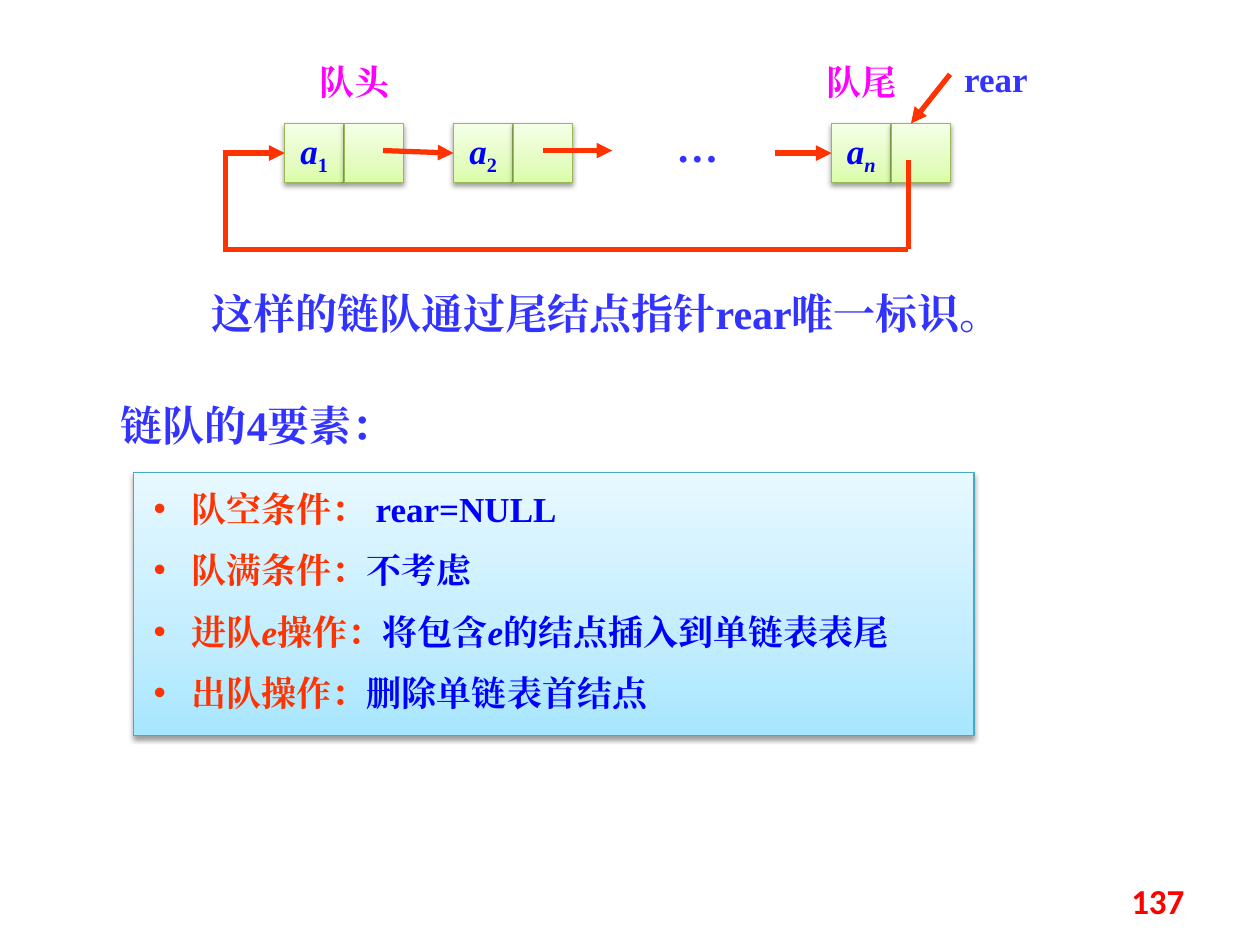
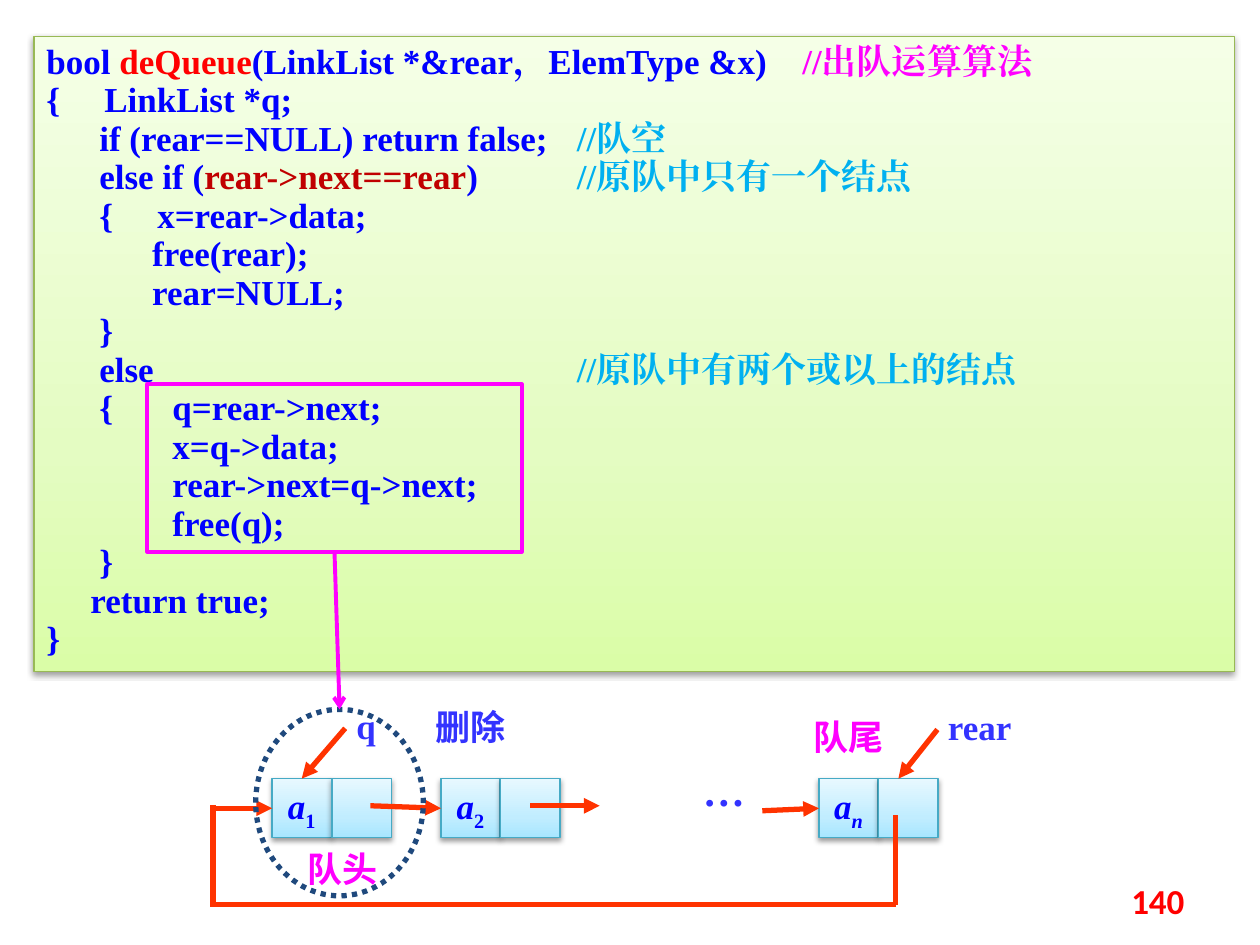
"""Build two slides on a circular linked queue that keeps only a rear pointer."""
import copy
from dataclasses import dataclass
from typing import Any

import lxml.etree
import pptx
import pptx.dml.color
import pptx.enum.dml
import pptx.enum.shapes
import pptx.enum.text
import pptx.oxml.ns
import pptx.util

Inches = pptx.util.Inches
Pt = pptx.util.Pt
qn = pptx.oxml.ns.qn
ALIGN = pptx.enum.text.PP_ALIGN
ANCHOR = pptx.enum.text.MSO_ANCHOR
SHAPE = pptx.enum.shapes.MSO_SHAPE

HUES = {
    "blue": "0000FF", "indigo": "3333FF", "pink": "FF00FF", "orange": "FF3300",
    "red": "FF0000", "dark": "C00000", "sky": "00B0F0", "navy": "1F497D",
    "black": "000000",
}
FADES = {
    "green": ("DAFDA7", "E4FCC2", "F5FFE7", "98B955"),
    "aqua": ("A7E6FF", "C1EDFF", "E7F8FF", "46AAC5"),
}
SERIF, SANS = "Times New Roman", "Noto Sans CJK SC"
CELL = 0.47
STEP = 0.475


@dataclass(frozen=True)
class Word:
    text: str
    tint: str = "blue"
    size: int = 20
    font: str = SERIF
    italic: bool = False
    sub: bool = False


@dataclass(frozen=True)
class Label:
    left: float
    top: float
    width: float
    height: float
    word: Word
    align: Any = ALIGN.CENTER
    anchor: Any = ANCHOR.TOP


@dataclass(frozen=True)
class Line:
    start: tuple[float, float]
    end: tuple[float, float]
    head: str = ""
    tint: str = "orange"
    width: float = 3


@dataclass(frozen=True)
class Row:
    stops: tuple[float, ...]
    words: tuple[Word, ...]


def paint(hue: str) -> pptx.dml.color.RGBColor:
    """Turn a hex string into a colour."""
    return pptx.dml.color.RGBColor.from_string(hue)


def put(target: Any, values: dict[str, Any]) -> None:
    """Set each named attribute on the target."""
    for key, value in values.items():
        setattr(target, key, value)


def place(shape: Any, box: tuple[float, ...]) -> None:
    """Move and size a shape in inches."""
    put(shape, dict(zip(("left", "top", "width", "height"), map(Inches, box))))


def write(para: Any, words: tuple[Word, ...]) -> None:
    """Add formatted runs to a paragraph."""
    for word in words:
        run = para.add_run()
        run.text = word.text
        put(run.font, {"name": word.font, "size": Pt(word.size), "bold": True,
                       "italic": word.italic})
        run.font.color.rgb = paint(HUES[word.tint])
        props = run._r.get_or_add_rPr()
        lxml.etree.SubElement(props, qn("a:ea"), typeface=word.font)
        if word.sub:
            props.set("baseline", "-25000")


def shade(shape: Any, name: str) -> None:
    """Give a shape the fade, edge and soft shadow of a theme."""
    *tones, edge = FADES[name]
    shape.fill.gradient()
    shape.fill.gradient_angle = 90
    stops = shape._element.spPr.find(qn("a:gradFill")).find(qn("a:gsLst"))
    stops.insert(1, copy.deepcopy(stops[0]))
    for stop, tone, spot in zip(shape.fill.gradient_stops, tones, (0, 0.35, 1)):
        stop.color.rgb = paint(tone)
        stop.position = spot
    shape.line.color.rgb = paint(edge)
    shape.line.width = Pt(0.75)
    shape.shadow.inherit = False
    glow = lxml.etree.SubElement(
        shape._element.spPr.find(qn("a:effectLst")), qn("a:outerShdw"),
        blurRad=str(Pt(3.1)), dist=str(Pt(1.6)), dir="5400000", rotWithShape="0")
    hue = lxml.etree.SubElement(glow, qn("a:srgbClr"), val=HUES["black"])
    lxml.etree.SubElement(hue, qn("a:alpha"), val="38000")


def add_box(slide: Any, box: tuple[float, ...], fade: str) -> Any:
    """Add a shaded rectangle."""
    shape = slide.shapes.add_shape(SHAPE.RECTANGLE, *map(Inches, box))
    shade(shape, fade)
    return shape


def add_ring(slide: Any, kind: Any, box: tuple[float, ...], tint: str, width: float) -> Any:
    """Add an unfilled outline shape."""
    shape = slide.shapes.add_shape(kind, *map(Inches, box))
    shape.fill.background()
    shape.line.color.rgb = paint(HUES[tint])
    shape.line.width = Pt(width)
    shape.shadow.inherit = False
    return shape


def add_label(slide: Any, label: Label) -> None:
    """Add a one-line text box."""
    box = (label.left, label.top, label.width, label.height)
    frame = slide.shapes.add_textbox(*map(Inches, box)).text_frame
    put(frame, {"word_wrap": True, "vertical_anchor": label.anchor})
    frame.paragraphs[0].alignment = label.align
    write(frame.paragraphs[0], (label.word,))


def add_line(slide: Any, line: Line) -> Any:
    """Add a straight line with an optional arrowhead."""
    link = slide.shapes.add_connector(
        pptx.enum.shapes.MSO_CONNECTOR.STRAIGHT, *map(Inches, line.start + line.end))
    link.line.color.rgb = paint(HUES[line.tint])
    link.line.width = Pt(line.width)
    props = link._element.spPr
    if line.head:
        lxml.etree.SubElement(props.find(qn("a:ln")), qn("a:tailEnd"), type=line.head)
    lxml.etree.SubElement(props, qn("a:effectLst"))
    return link


def add_node(slide: Any, left: float, top: float, fade: str, mark: Word) -> Any:
    """Add a data cell and a link cell, and return the data cell."""
    data = add_box(slide, (left, top, CELL, CELL), fade)
    add_box(slide, (left + STEP, top, CELL, CELL), fade)
    put(data.text_frame, {"word_wrap": False, "vertical_anchor": ANCHOR.MIDDLE})
    data.text_frame.paragraphs[0].alignment = ALIGN.CENTER
    write(data.text_frame.paragraphs[0], (Word("a", italic=True), mark))
    return data


def add_queue(slide: Any, left: float, top: float, fade: str,
              dots: tuple[float, float], drop: float, font: str) -> Any:
    """Draw the ring of nodes and return the first data cell."""
    marks = (Word("1", sub=True), Word("2", sub=True), Word("n", italic=True, sub=True))
    first, second, last = [
        add_node(slide, left + gap, top, fade, mark)
        for gap, mark in zip((0, 1.34, 4.34), marks)]
    mid = top + CELL / 2
    low = top + 1
    joins = (((-0.47, mid), 0, first), ((0.78, mid - 0.02), 1.34, second),
             ((3.89, mid + drop), 4.34, last))
    for (gap, high), goal, cell in joins:
        link = add_line(slide, Line((left + gap, high), (left + goal, mid), "triangle"))
        link.end_connect(cell, 1)
    lines = (
        Line((left + 2.05, mid - 0.02), (left + 2.6, mid - 0.02), "triangle"),
        Line((left + 4.95, top + 0.29), (left + 4.95, low)),
        Line((left - 0.49, low), (left + 4.95, low)),
        Line((left - 0.47, top + 0.21), (left - 0.47, low + 0.01)),
        Line((left + 5.28, top - 0.39), (left + 4.97, top), "triangle"),
    )
    for line in lines:
        add_line(slide, line)
    add_label(slide, Label(*dots, 0.87, 0.5, Word("…", "indigo", 24)))
    add_label(slide, Label(left + 4.1, top - 0.55, 0.95, 0.43, Word("队尾", "pink", font=font)))
    return first


def add_page(slide: Any, number: str) -> None:
    """Add the page number in the lower right corner."""
    add_label(slide, Label(7.17, 6.95, 2.33, 0.4, Word(number, "red", font="Calibri"),
                           ALIGN.RIGHT, ANCHOR.MIDDLE))


def add_facts(slide: Any) -> None:
    """Fill the title and body with the four key facts."""
    title, body = slide.placeholders
    place(title, (0.86, 3.12, 2.85, 0.5))
    put(title.text_frame, {"vertical_anchor": ANCHOR.TOP, "word_wrap": True,
                           "auto_size": pptx.enum.text.MSO_AUTO_SIZE.NONE})
    title.text_frame.paragraphs[0].alignment = ALIGN.LEFT
    write(title.text_frame.paragraphs[0], (Word("链队的4要素：", "indigo", 24),))
    place(body, (1.06, 3.75, 6.67, 2.09))
    shade(body, "aqua")
    frame = body.text_frame
    put(frame, {"margin_left": Inches(0.16), "margin_right": Inches(0.16),
                "margin_top": Inches(0.12), "margin_bottom": Inches(0.12),
                "auto_size": pptx.enum.text.MSO_AUTO_SIZE.NONE})
    facts = (
        (Word("队空条件： ", "orange"), Word("rear=NULL")),
        (Word("队满条件：", "orange"), Word("不考虑")),
        (Word("进队", "orange"), Word("e", "orange", italic=True), Word("操作：", "orange"),
         Word("将包含"), Word("e", italic=True), Word("的结点插入到单链表表尾")),
        (Word("出队操作：", "orange"), Word("删除单链表首结点")),
    )
    for turn, fact in enumerate(facts):
        para = frame.add_paragraph() if turn else frame.paragraphs[0]
        para.space_before = Pt(11 if turn else 0)
        props = para._p.get_or_add_pPr()
        props.set("marL", str(Inches(0.3)))
        props.set("indent", str(-Inches(0.3)))
        lxml.etree.SubElement(props, qn("a:buChar"), char="•")
        write(para, fact)


def add_code(slide: Any) -> None:
    """Add the shaded panel with the dequeue function."""
    frame = add_box(slide, (0.27, 0.29, 9.53, 5.04), "green").text_frame
    put(frame, {"word_wrap": True, "vertical_anchor": ANCHOR.TOP})
    note = 4.21
    rows = (
        Row((6.0,), (Word("bool "), Word("deQueue", "red"),
                     Word("(LinkList *&rear，ElemType &x)\t"), Word("//出队运算算法", "pink"))),
        Row((0.46,), (Word("{\tLinkList *q;"),)),
        Row((0.42, note), (Word("\tif (rear==NULL) return false;\t"), Word("//队空", "sky"))),
        Row((0.42, note), (Word("\telse if ("), Word("rear->next==rear", "dark"), Word(")\t"),
                           Word("//原队中只有一个结点", "sky"))),
        Row((0.42, 0.88), (Word("\t{\tx=rear->data;"),)),
        Row((0.84,), (Word("\tfree(rear);"),)),
        Row((0.84,), (Word("\trear=NULL;"),)),
        Row((0.42,), (Word("\t}"),)),
        Row((0.42, note), (Word("\telse\t"), Word("//原队中有两个或以上的结点", "sky"))),
        Row((0.42, 1.0), (Word("\t{\tq=rear->next;"),)),
        Row((1.0,), (Word("\tx=q->data;"),)),
        Row((1.0,), (Word("\trear->next=q->next;"),)),
        Row((1.0,), (Word("\tfree(q);"),)),
        Row((0.42,), (Word("\t}"),)),
        Row((0.35,), (Word("\treturn true;"),)),
        Row((), (Word("}"),)),
    )
    for turn, row in enumerate(rows):
        para = frame.add_paragraph() if turn else frame.paragraphs[0]
        put(para, {"alignment": ALIGN.LEFT, "line_spacing": Pt(22)})
        if row.stops:
            tabs = lxml.etree.SubElement(para._p.get_or_add_pPr(), qn("a:tabLst"))
            for stop in row.stops:
                lxml.etree.SubElement(tabs, qn("a:tab"), pos=str(Inches(stop)), algn="l")
        write(para, row.words)


def draw_facts(deck: Any) -> None:
    """Draw the slide with the ring and its key facts."""
    slide = deck.slides.add_slide(deck.slide_layouts[1])
    add_facts(slide)
    add_queue(slide, 2.26, 0.98, "green", (5.1, 0.91), 0, SERIF)
    for label in (
        Label(7.47, 0.41, 0.87, 0.43, Word("rear", "indigo")),
        Label(2.34, 0.43, 0.95, 0.43, Word("队头", "pink")),
        Label(1.27, 2.23, 7.09, 0.5, Word("这样的链队通过尾结点指针rear唯一标识。", "indigo", 24)),
    ):
        add_label(slide, label)
    add_page(slide, "137")


def draw_code(deck: Any) -> None:
    """Draw the slide with the dequeue code and the node it removes."""
    slide = deck.slides.add_slide(deck.slide_layouts[6])
    add_code(slide)
    first = add_queue(slide, 2.16, 6.18, "aqua", (5.31, 6.02), 0.02, SANS)
    ring = add_ring(slide, SHAPE.OVAL, (2.03, 5.63, 1.33, 1.48), "navy", 3)
    ring.line.dash_style = pptx.enum.dml.MSO_LINE.ROUND_DOT
    frame = add_ring(slide, SHAPE.RECTANGLE, (1.17, 3.05, 2.97, 1.33), "pink", 2.25)
    link = add_line(slide, Line((2.66, 4.38), (2.7, 5.63), "arrow", "pink", 2.25))
    link.begin_connect(frame, 2)
    link.end_connect(ring, 0)
    for label in (
        Label(7.34, 5.55, 0.87, 0.43, Word("rear", "indigo")),
        Label(2.24, 6.68, 0.95, 0.43, Word("队头", "pink", font=SANS)),
        Label(3.36, 5.55, 0.94, 0.44, Word("删除", "indigo", font=SANS), ALIGN.LEFT),
        Label(2.73, 5.54, 0.33, 0.43, Word("q", "indigo")),
    ):
        add_label(slide, label)
    add_line(slide, Line((2.74, 5.78), (2.4, 6.18), "triangle")).end_connect(first, 0)
    add_page(slide, "140")


def main() -> None:
    """Build and save the deck."""
    deck = pptx.Presentation()
    put(deck, {"slide_width": Inches(10), "slide_height": Inches(7.5)})
    draw_facts(deck)
    draw_code(deck)
    deck.save("out.pptx")


if __name__ == "__main__":
    main()
